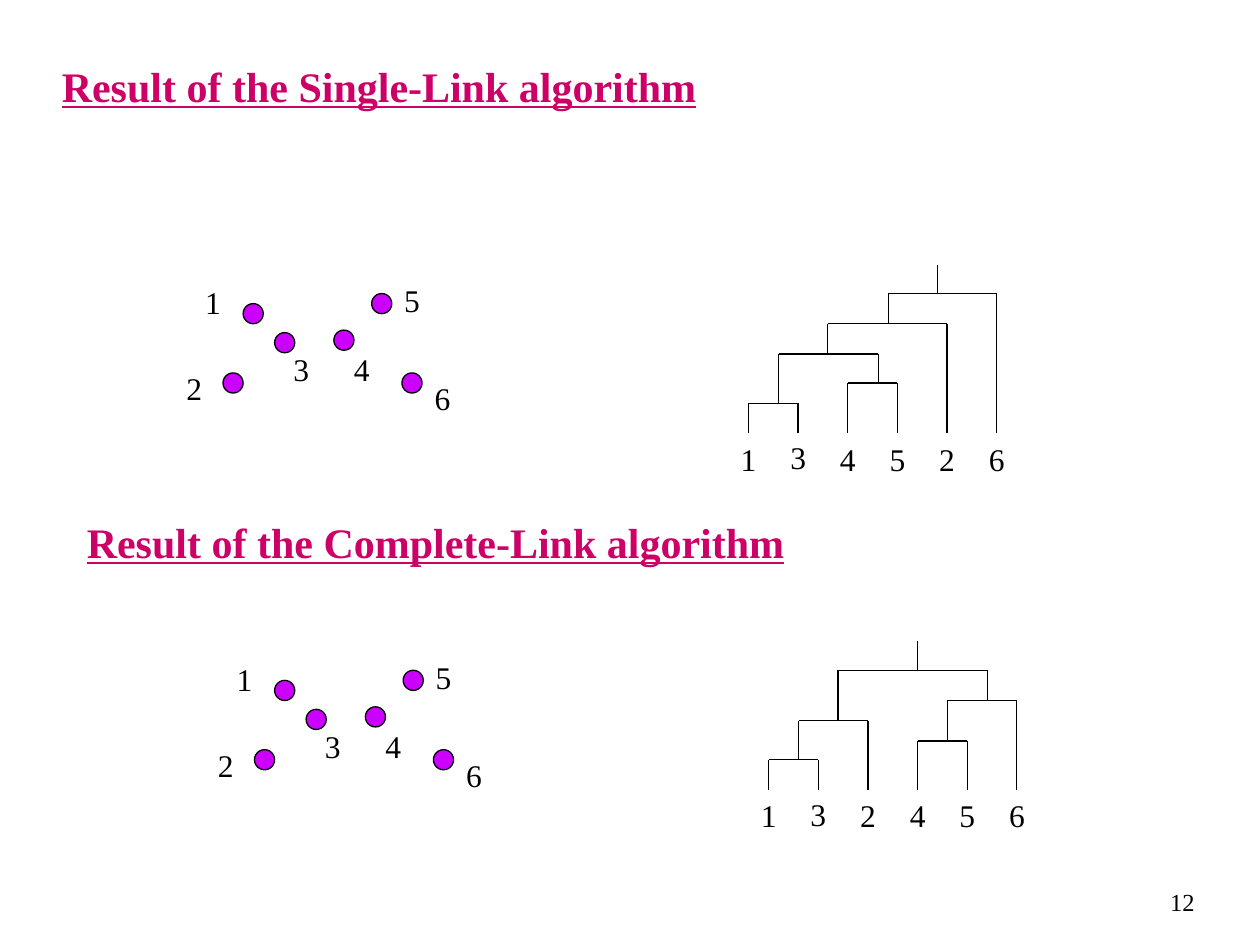
from pptx import Presentation
from pptx.dml.color import RGBColor
from pptx.enum import shapes, text
from pptx.oxml.ns import qn
from pptx.util import Inches, Pt
from lxml import etree

COLORS = {"head": "CC0066", "dot": "CC00FF", "ink": "000000"}
LEFT, MID, RIGHT = text.PP_ALIGN.LEFT, text.PP_ALIGN.CENTER, text.PP_ALIGN.RIGHT
TOP, CENTER = text.MSO_ANCHOR.TOP, text.MSO_ANCHOR.MIDDLE

prs = Presentation()
prs.slide_width, prs.slide_height = Inches(10), Inches(7.5)
slide = prs.slides.add_slide(prs.slide_layouts[5])


def write(box, words, size, align, anchor, color="ink", head=False):
    """Fill a text shape with one formatted run."""
    frame = box.text_frame
    frame.word_wrap = True
    frame.auto_size = text.MSO_AUTO_SIZE.NONE
    frame.vertical_anchor = anchor
    par = frame.paragraphs[0]
    par.alignment = align
    run = par.add_run()
    run.text = words
    font = run.font
    font.name, font.size = "Times New Roman", Pt(size)
    font.bold = font.underline = head
    font.color.rgb = RGBColor.from_string(COLORS[color])


def draw_line(x1, y1, x2, y2):
    line = slide.shapes.add_connector(
        shapes.MSO_CONNECTOR.STRAIGHT,
        Inches(x1), Inches(y1), Inches(x2), Inches(y2))
    line.line.color.rgb = RGBColor.from_string(COLORS["ink"])
    line.line.width = Pt(0.75)
    etree.SubElement(line._element.spPr, qn("a:effectLst"))


# Headings and page number
title = slide.shapes.title
title.left, title.top = Inches(0.39), Inches(0.37)
title.width, title.height = Inches(9.23), Inches(0.62)
write(title, "Result of the Single-Link algorithm", 24, LEFT, CENTER, "head", True)

second = slide.shapes.add_textbox(Inches(0.59), Inches(3.67), Inches(8.82), Inches(1.25))
write(second, "Result of the Complete-Link algorithm", 24, LEFT, CENTER, "head", True)

number = slide.shapes.add_textbox(Inches(7.5), Inches(6.91), Inches(2.08), Inches(0.5))
write(number, "12", 14, RIGHT, CENTER)

# Point plots: name, dot left and top, label left and top
points = [
    ("1", 1.93, 2.41, 1.53, 2.20),
    ("2", 1.77, 2.96, 1.38, 2.88),
    ("3", 2.18, 2.64, 2.23, 2.73),
    ("4", 2.65, 2.62, 2.71, 2.73),
    ("5", 2.95, 2.33, 3.11, 2.18),
    ("6", 3.19, 2.96, 3.35, 2.96),
]
labels = []
for dx, dy in [(0, 0), (0.25, 2.99)]:
    for name, x, y, tx, ty in points:
        dot = slide.shapes.add_shape(
            shapes.MSO_SHAPE.OVAL,
            Inches(x + dx), Inches(y + dy), Inches(0.16), Inches(0.16))
        dot.shadow.inherit = False
        dot.fill.solid()
        dot.fill.fore_color.rgb = RGBColor.from_string(COLORS["dot"])
        dot.line.color.rgb = RGBColor.from_string(COLORS["ink"])
        dot.line.width = Pt(0.75)
        labels.append((name, tx + dx, ty + dy))

# Dendrograms: leaf order, first leaf x, base y, root top,
# merges as (left group, right group, bar height, stem x)
trees = [
    ("134526", 5.94, 3.44, 2.10, [
        ("1", "3", 3.20, 6.18),
        ("4", "5", 3.04, 6.97),
        ("13", "45", 2.81, 6.57),
        ("1345", "2", 2.57, 7.05),
        ("13452", "6", 2.33, 7.44),
    ]),
    ("132456", 6.10, 6.27, 5.09, [
        ("1", "3", 6.03, 6.34),
        ("4", "5", 5.88, 7.52),
        ("13", "2", 5.72, 6.65),
        ("45", "6", 5.56, 7.84),
        ("132", "456", 5.32, 7.28),
    ]),
]
STEP = 0.394
for order, start, base, root, merges in trees:
    nodes = {leaf: (start + i * STEP, base) for i, leaf in enumerate(order)}
    for leaf, (x, y) in nodes.items():
        labels.append((leaf, x - 0.16, y - (0.01 if leaf == "3" else 0)))
    for a, b, bar, stem in merges:
        for x, y in (nodes[a], nodes[b]):
            draw_line(x, y, x, bar)
        draw_line(nodes[a][0], bar, nodes[b][0], bar)
        nodes[a + b] = (stem, bar)
    x, y = nodes[order]
    draw_line(x, y, x, root)

for name, x, y in labels:
    box = slide.shapes.add_textbox(Inches(x), Inches(y), Inches(0.32), Inches(0.4))
    write(box, name, 18, MID, TOP)

prs.save("out.pptx")
